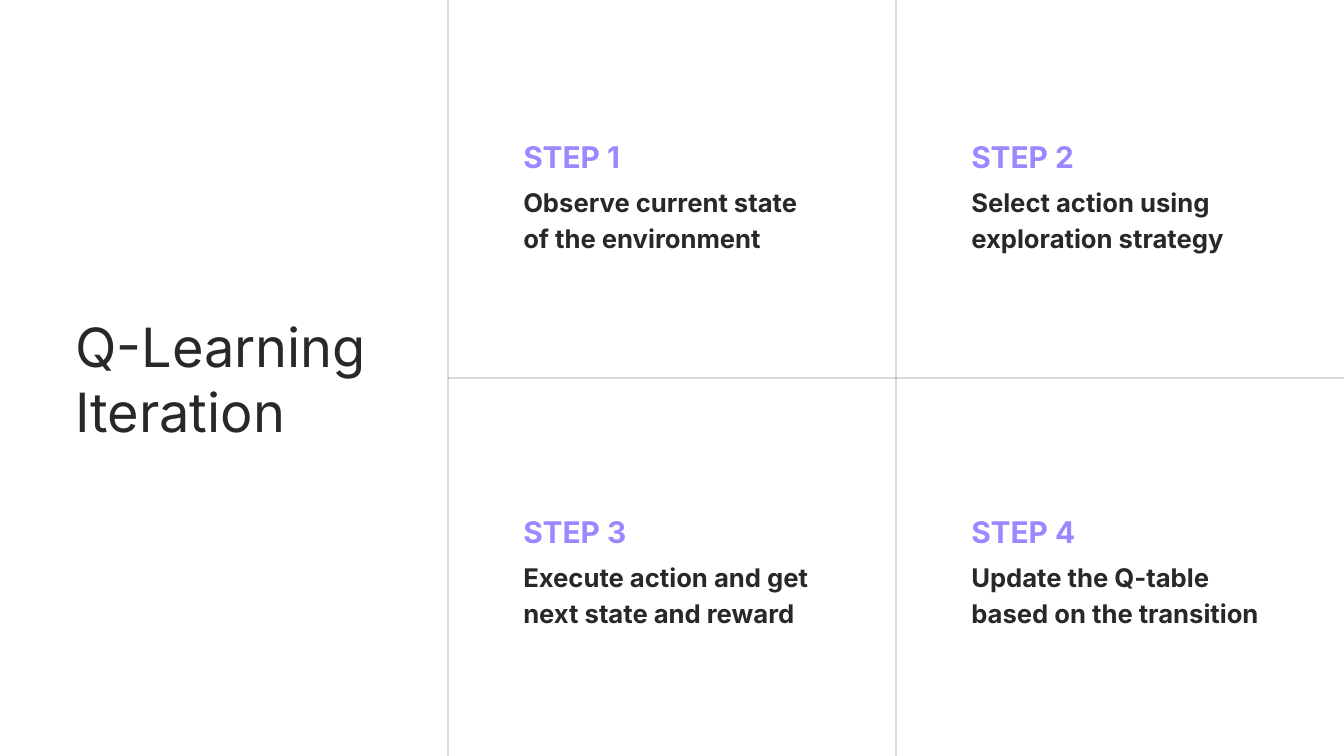
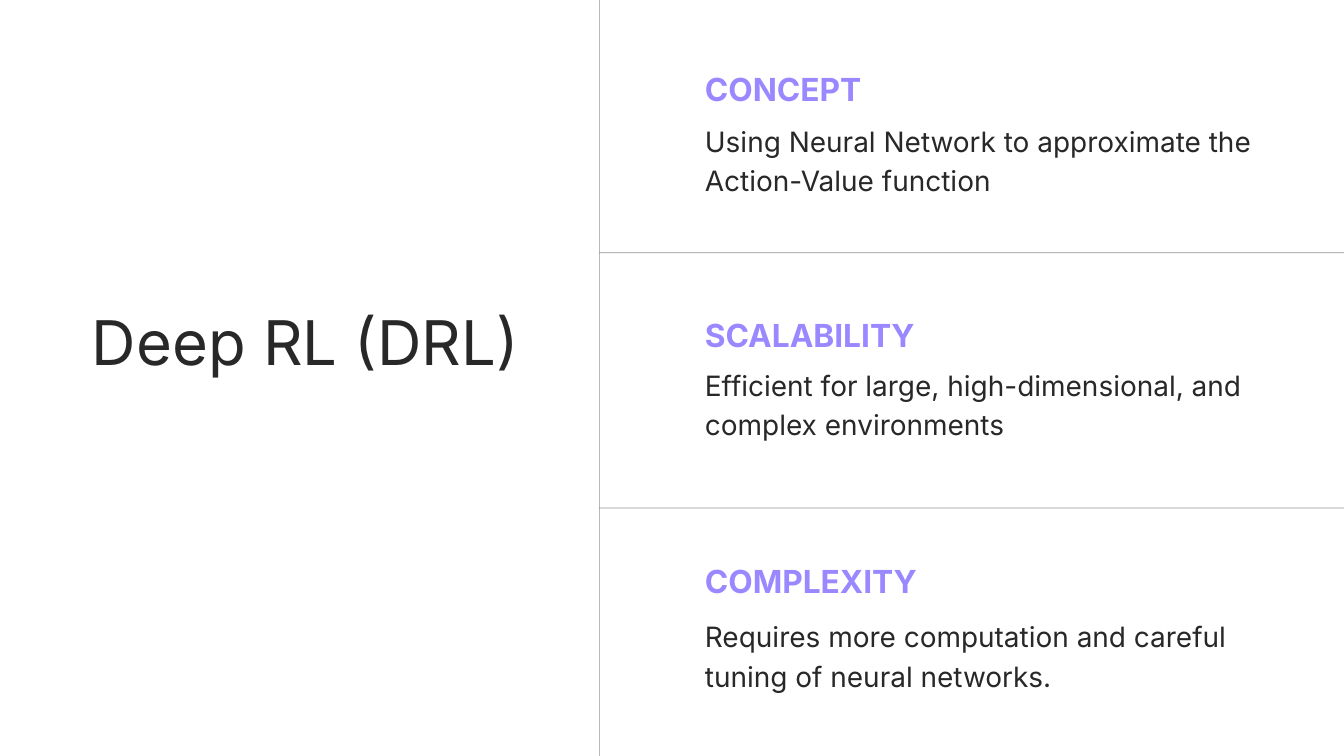
from dataclasses import dataclass

from lxml import etree
from pptx import Presentation
from pptx.dml.color import RGBColor
from pptx.enum.shapes import MSO_CONNECTOR
from pptx.enum.text import MSO_ANCHOR, MSO_AUTO_SIZE, PP_ALIGN
from pptx.oxml.ns import qn
from pptx.util import Inches, Pt

WIDTH, HEIGHT = 20, 11.25
TITLE_ONLY = 5


@dataclass(frozen=True)
class TextStyle:
    size: float
    color: str
    leading: float = 1.4
    bold: bool = False
    align: PP_ALIGN = PP_ALIGN.LEFT


class Theme:
    font = "Inter"
    ink, accent, paper = "292828", "9988FF", "FFFFFF"
    rule_width, rule_opacity = 0.75, 50
    step_title = TextStyle(58, ink, 1.2)
    topic_title = TextStyle(66, ink, 1.05, align=PP_ALIGN.CENTER)
    step_head = TextStyle(32, accent, bold=True)
    step_body = TextStyle(27.5, ink, bold=True)
    topic_head = TextStyle(34, accent, bold=True)
    topic_body = TextStyle(30, ink)


def set_attrs(target, values):
    for name, value in values.items():
        setattr(target, name, value)


class Deck:
    def __init__(self, theme):
        self.theme = theme
        self.prs = Presentation()
        set_attrs(self.prs, {"slide_width": Inches(WIDTH),
                             "slide_height": Inches(HEIGHT)})
        self.slide = None

    def new_slide(self):
        layout = self.prs.slide_layouts[TITLE_ONLY]
        self.slide = self.prs.slides.add_slide(layout)
        fill = self.slide.background.fill
        fill.solid()
        fill.fore_color.rgb = RGBColor.from_string(self.theme.paper)

    def set_text(self, sp, text, style):
        """Fill a shape with one paragraph, without insets."""
        tf = sp.text_frame
        set_attrs(tf, {"word_wrap": True, "auto_size": MSO_AUTO_SIZE.NONE,
                       "vertical_anchor": MSO_ANCHOR.TOP,
                       "margin_left": 0, "margin_top": 0,
                       "margin_right": 0, "margin_bottom": 0})
        p = tf.paragraphs[0]
        set_attrs(p, {"alignment": style.align, "space_before": Pt(0),
                      "line_spacing": Pt(style.size * style.leading)})
        r = p.add_run()
        r.text = text
        set_attrs(r.font, {"name": self.theme.font, "size": Pt(style.size),
                           "bold": style.bold})
        r.font.color.rgb = RGBColor.from_string(style.color)

    def title(self, text, style, left, top, width, height):
        sp = self.slide.shapes.title
        set_attrs(sp, {"left": Inches(left), "top": Inches(top),
                       "width": Inches(width), "height": Inches(height)})
        self.set_text(sp, text, style)

    def card(self, left, width, head, body):
        """Group a heading and its text, each (text, style, top, height)."""
        group = self.slide.shapes.add_group_shape()
        for text, style, top, height in (head, body):
            sp = group.shapes.add_textbox(Inches(left), Inches(top),
                                          Inches(width), Inches(height))
            self.set_text(sp, text, style)

    def rule(self, x1, y1, x2, y2):
        """Draw a thin, half-transparent divider."""
        line = self.slide.shapes.add_connector(
            MSO_CONNECTOR.STRAIGHT,
            Inches(x1), Inches(y1), Inches(x2), Inches(y2))
        line.line.width = Pt(self.theme.rule_width)
        line.line.color.rgb = RGBColor.from_string(self.theme.ink)
        sp_pr = line._element.spPr
        color = sp_pr.find(".//" + qn("a:srgbClr"))
        etree.SubElement(color, qn("a:alpha"),
                         val=str(self.theme.rule_opacity * 1000))
        etree.SubElement(sp_pr, qn("a:effectLst"))


def q_learning_slide(deck):
    theme = deck.theme
    steps = ["Observe current state of the environment",
             "Select action using exploration strategy",
             "Execute action and get next state and reward",
             "Update the Q-table based on the transition"]
    column = WIDTH / 3
    deck.new_slide()
    deck.title("Q-Learning Iteration", theme.step_title, 1.12, 4.66, 4.34, 1.93)
    deck.rule(column, HEIGHT / 2, WIDTH, HEIGHT / 2)
    for x in (column, 2 * column):
        deck.rule(x, 0, x, HEIGHT)
    for i, step in enumerate(steps):
        row, col = divmod(i, 2)
        top = 1.98 + 5.58 * row
        deck.card(column * (col + 1) + 1.12, 4.41,
                  (f"STEP {i + 1}", theme.step_head, top, 0.58),
                  (step, theme.step_body, top + 0.73, 1.03))


def deep_rl_slide(deck):
    theme = deck.theme
    divider = 8.92
    topics = [("CONCEPT", 0.94, 1.77,
               "Using Neural Network to approximate the Action-Value function"),
              ("SCALABILITY", 4.61, 5.4,
               "Efficient for large, high-dimensional, and complex environments"),
              ("COMPLEXITY", 8.26, 9.14,
               "Requires more computation and careful tuning of neural networks.")]
    deck.new_slide()
    deck.title("Deep RL (DRL)", theme.topic_title, 0.82, 4.66, 7.45, 1)
    deck.rule(divider, 0, divider, HEIGHT)
    for y in (3.76, 7.56):
        deck.rule(divider, y, WIDTH, y)
    for name, head_top, body_top, text in topics:
        deck.card(10.49, 9.03,
                  (name, theme.topic_head, head_top, 0.62),
                  (text, theme.topic_body, body_top, 1.11))


def main():
    deck = Deck(Theme())
    q_learning_slide(deck)
    deep_rl_slide(deck)
    deck.prs.save("out.pptx")


if __name__ == "__main__":
    main()
